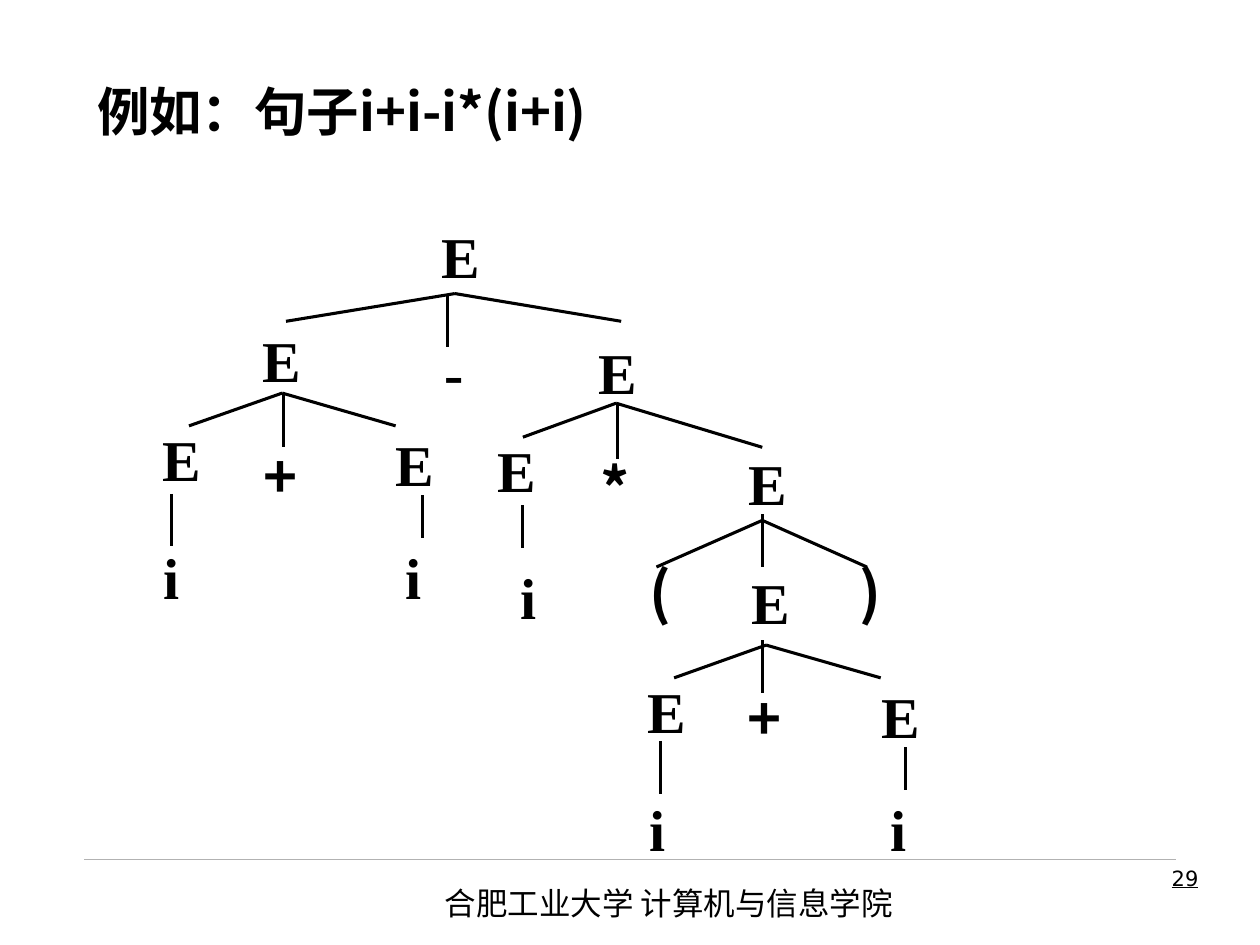
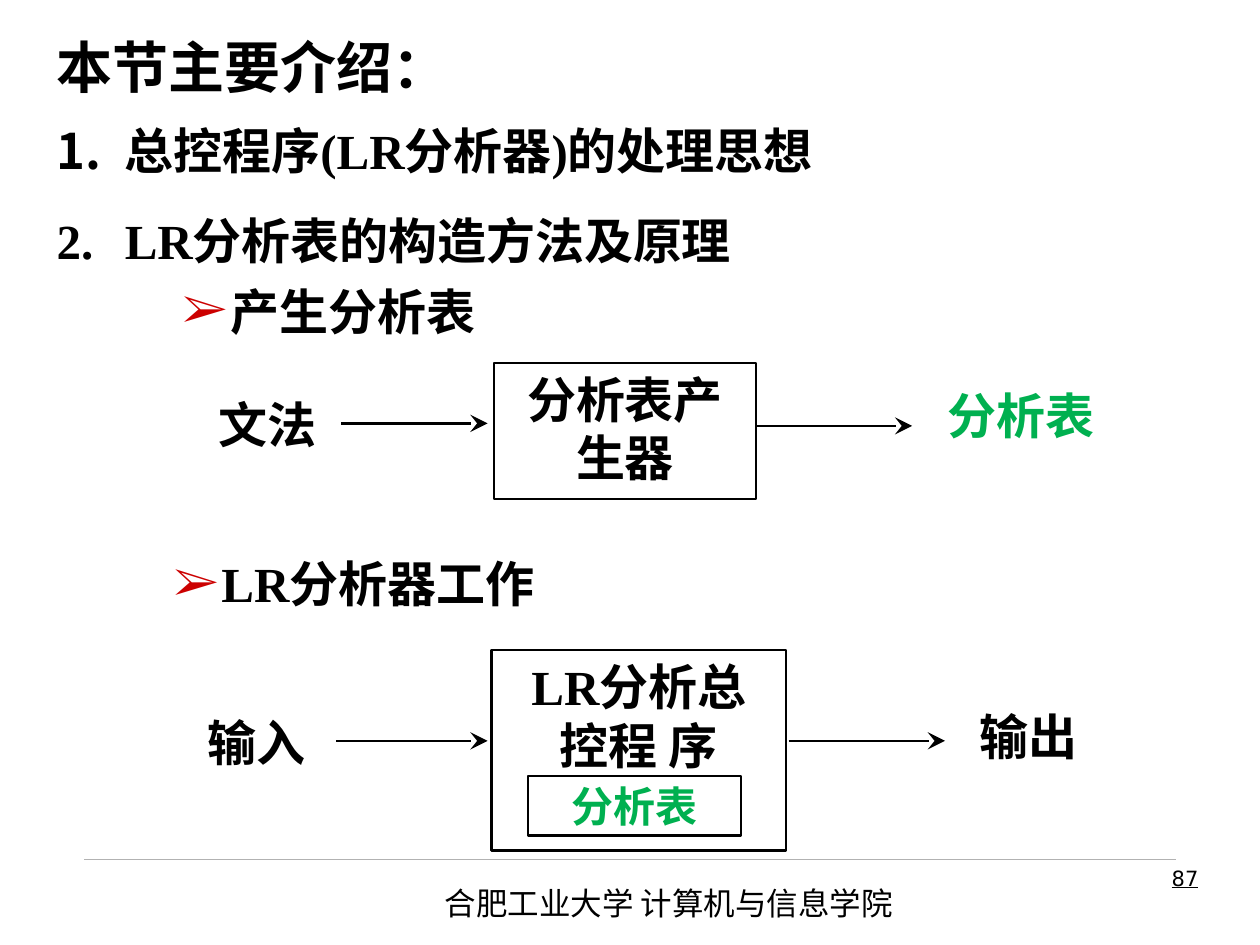
from lxml.etree import SubElement
from pptx import Presentation
from pptx.dml.color import RGBColor
from pptx.enum.shapes import MSO_CONNECTOR, MSO_SHAPE
from pptx.enum.text import MSO_ANCHOR, MSO_AUTO_SIZE, PP_ALIGN
from pptx.oxml.ns import qn
from pptx.util import Inches, Pt

COLORS = {"ink": "000000", "rule": "B2B2B2", "bullet": "CC0000", "table": "00B050"}
SERIF, SANS, PAGE_FONT = "Times New Roman", "Noto Sans CJK SC", "DejaVu Sans"
FOOTER = "合肥工业大学 计算机与信息学院"

TREE_TITLE = "例如：句子i+i-i*(i+i)"
SYMBOL_WIDTHS = {"E": 0.31, "i": 0.13, "-": 0.15, "+": 0.26, "*": 0.25, "(": 0.16, ")": 0.16}
SANS_SYMBOLS = "+*()"
TREE_NODES = [
    ("E", 3.5, 1.75),
    ("E", 2.08, 2.58), ("-", 3.53, 2.67), ("E", 4.75, 2.67),
    ("E", 1.29, 3.36), ("+", 2.1, 3.5), ("E", 3.14, 3.4),
    ("E", 3.95, 3.45), ("*", 4.76, 3.59), ("E", 5.94, 3.55),
    ("i", 1.3, 4.3), ("i", 3.22, 4.3), ("i", 4.13, 4.46),
    ("(", 5.16, 4.42), ("E", 5.96, 4.5), (")", 6.83, 4.42),
    ("E", 5.14, 5.36), ("+", 5.94, 5.42), ("E", 6.99, 5.4),
    ("i", 5.15, 6.3), ("i", 7.07, 6.3),
]
BRANCHES = [
    ((3.61, 2.33), (2.27, 2.55), (4.93, 2.55)),
    ((2.24, 3.12), (1.5, 3.38), (3.14, 3.38)),
    ((4.89, 3.2), (4.15, 3.47), (6.05, 3.55)),
    ((6.05, 4.13), (5.21, 4.5), (6.88, 4.5)),
    ((6.08, 5.12), (5.35, 5.38), (6.99, 5.38)),
]
STEMS = [
    (3.55, 2.33, 2.75), (2.25, 3.13, 3.55), (4.9, 3.21, 3.64),
    (6.05, 4.08, 4.5), (6.05, 5.08, 5.5),
    (1.36, 3.92, 4.33), (3.35, 3.93, 4.27), (4.15, 4.01, 4.35),
    (5.24, 5.88, 6.3), (7.19, 5.93, 6.27),
]

OUTLINE_TITLE = "本节主要介绍："
OUTLINE_ITEMS = ["总控程序(LR分析器)的处理思想", "LR分析表的构造方法及原理"]
STEPS = [("产生分析表", (1.35, 2.13, 3.8, 0.67)), ("LR分析器工作", (1.28, 4.29, 3.8, 0.67))]
BOXES = [
    ("分析表产生器", (3.92, 2.88, 2.08, 1.08), 28, "ink", MSO_ANCHOR.TOP),
    ("LR分析总\v控程 序", (3.9, 5.16, 2.34, 1.59), 28, "ink", MSO_ANCHOR.TOP),
    ("分析表", (4.19, 6.16, 1.69, 0.47), 24, "table", MSO_ANCHOR.MIDDLE),
]
FLOW_LABELS = [
    ("文法", (1.46, 3.03, 1.33, 0.67), "ink"),
    ("分析表", (7.34, 2.96, 1.52, 0.67), "table"),
    ("输入", (1.3, 5.55, 1.47, 0.67), "ink"),
    ("输出", (7.5, 5.55, 1.33, 0.58), "ink"),
]
ARROWS = [(2.71, 3.87, 3.36), (6, 7.24, 3.38), (2.67, 3.87, 5.88), (6.26, 7.5, 5.88)]


def color(name):
    return RGBColor.from_string(COLORS[name])


def style(paragraph, size, font=SERIF, ink="ink", bold=True, align=PP_ALIGN.LEFT, before=0):
    paragraph.alignment = align
    paragraph.space_before = Pt(before)
    paragraph.font.name = font
    paragraph.font.size = Pt(size)
    paragraph.font.bold = bold
    paragraph.font.color.rgb = color(ink)


def prepare_frame(shape, anchor=MSO_ANCHOR.TOP, wrap=True, inset=True):
    frame = shape.text_frame
    frame.auto_size = MSO_AUTO_SIZE.NONE
    frame.word_wrap = wrap
    frame.vertical_anchor = anchor
    if not inset:
        frame.margin_left = frame.margin_right = frame.margin_top = frame.margin_bottom = 0
    return frame


def add_paragraph_box(slide, text, box, anchor=MSO_ANCHOR.TOP, wrap=True, inset=True):
    shape = slide.shapes.add_textbox(*map(Inches, box))
    frame = prepare_frame(shape, anchor, wrap, inset)
    frame.text = text
    return frame.paragraphs[0]


def add_text(slide, text, box, size, anchor=MSO_ANCHOR.TOP, wrap=True, inset=True, **format):
    paragraph = add_paragraph_box(slide, text, box, anchor, wrap, inset)
    style(paragraph, size, **format)
    return paragraph


def place(placeholder, box):
    placeholder.left, placeholder.top, placeholder.width, placeholder.height = map(Inches, box)
    return prepare_frame(placeholder)


def set_title(slide, text, box, size, font):
    frame = place(slide.shapes.title, box)
    frame.text = text
    style(frame.paragraphs[0], size, font)


def add_bullet(paragraph, indent, ink, kind, **attributes):
    properties = paragraph._p.get_or_add_pPr()
    properties.set("marL", str(Inches(indent)))
    properties.set("indent", str(-Inches(indent)))
    bullet_color = SubElement(properties, qn("a:buClr"))
    SubElement(bullet_color, qn("a:srgbClr"), val=COLORS[ink])
    SubElement(properties, qn("a:buFont"), typeface=SERIF)
    SubElement(properties, qn(kind), **attributes)


def add_line(slide, start, end, width, ink="ink", arrow=False):
    connector = slide.shapes.add_connector(
        MSO_CONNECTOR.STRAIGHT, *map(Inches, (*start, *end)))
    connector.line.color.rgb = color(ink)
    connector.line.width = Pt(width)
    if arrow:
        line = connector._element.spPr.find(qn("a:ln"))
        SubElement(line, qn("a:tailEnd"), type="stealth", w="lg", len="lg")
    SubElement(connector._element.spPr, qn("a:effectLst"))


def add_slide(presentation, layout_name, page):
    slide = presentation.slides.add_slide(presentation.slide_layouts.get_by_name(layout_name))
    add_line(slide, (0.67, 6.82), (9.33, 6.82), 0.25, "rule")
    add_text(slide, FOOTER, (3.43, 6.97, 4.8, 0.4), 18, font=SANS, bold=False)
    number = add_text(slide, page, (7.44, 6.82, 2.17, 0.52), 12, font=PAGE_FONT,
                      bold=False, align=PP_ALIGN.RIGHT)
    number.font.underline = True
    return slide


def build_tree(presentation):
    slide = add_slide(presentation, "Title Only", "29")
    set_title(slide, TREE_TITLE, (0.67, 0.58, 8.5, 0.83), 30, SANS)
    for joint, *ends in BRANCHES:
        for end in ends:
            add_line(slide, joint, end, 1.75)
    for x, top, bottom in STEMS:
        add_line(slide, (x, top), (x, bottom), 1.75)
    for symbol, left, top in TREE_NODES:
        font = SANS if symbol in SANS_SYMBOLS else SERIF
        add_text(slide, symbol, (left, top, SYMBOL_WIDTHS[symbol], 0.55), 33,
                 wrap=False, inset=False, font=font, align=PP_ALIGN.CENTER)


def build_outline(presentation):
    slide = add_slide(presentation, "Title and Content", "87")
    set_title(slide, OUTLINE_TITLE, (0.35, 0.21, 9, 0.7), 32, SERIF)
    frame = place(slide.placeholders[1], (0.35, 0.91, 9, 1.09))
    for index, item in enumerate(OUTLINE_ITEMS):
        paragraph = frame.add_paragraph() if index else frame.paragraphs[0]
        paragraph.text = item
        add_bullet(paragraph, 0.54, "ink", "a:buAutoNum", type="arabicPeriod")
        style(paragraph, 28, before=17.5 * index)

    for text, box in STEPS:
        paragraph = add_paragraph_box(slide, text, box, MSO_ANCHOR.MIDDLE)
        add_bullet(paragraph, 0.38, "bullet", "a:buChar", char="➢")
        style(paragraph, 28)

    for text, box, size, ink, anchor in BOXES:
        shape = slide.shapes.add_shape(MSO_SHAPE.RECTANGLE, *map(Inches, box))
        shape.shadow.inherit = False
        shape.fill.background()
        shape.line.color.rgb = color("ink")
        shape.line.width = Pt(1.5)
        frame = prepare_frame(shape, anchor)
        frame.text = text
        style(frame.paragraphs[0], size, ink=ink, align=PP_ALIGN.CENTER)

    for text, box, ink in FLOW_LABELS:
        add_text(slide, text, box, 28, MSO_ANCHOR.MIDDLE, wrap=False,
                 ink=ink, align=PP_ALIGN.CENTER)
    for left, right, y in ARROWS:
        add_line(slide, (left, y), (right, y), 1.5, arrow=True)


def main():
    presentation = Presentation()
    presentation.slide_width, presentation.slide_height = Inches(10), Inches(7.5)
    build_tree(presentation)
    build_outline(presentation)
    presentation.save("out.pptx")


if __name__ == "__main__":
    main()
